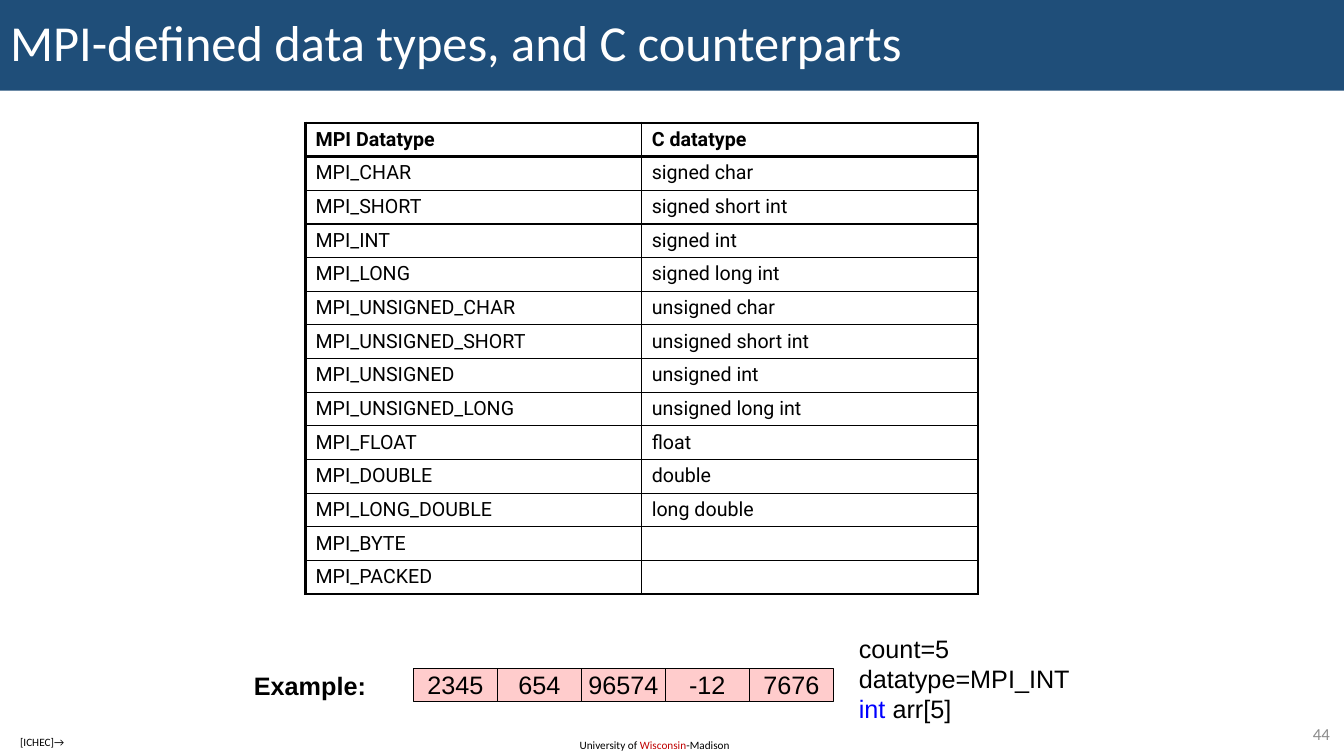
import lxml.etree
import pptx
import pptx.dml.color
import pptx.enum.shapes
import pptx.enum.text
import pptx.oxml.ns
import pptx.util

Inches = pptx.util.Inches
Pt = pptx.util.Pt
qn = pptx.oxml.ns.qn
ALIGN = pptx.enum.text.PP_ALIGN
ANCHOR = pptx.enum.text.MSO_ANCHOR

COLORS = {
    "band": "1F4E79",
    "white": "FFFFFF",
    "black": "000000",
    "gray": "8C8C8C",
    "red": "C00000",
    "keyword": "0000FF",
    "element": "FFCCCC",
}

DATATYPES = [
    ("MPI Datatype", "C datatype"),
    ("MPI_CHAR", "signed char"),
    ("MPI_SHORT", "signed short int"),
    ("MPI_INT", "signed int"),
    ("MPI_LONG", "signed long int"),
    ("MPI_UNSIGNED_CHAR", "unsigned char"),
    ("MPI_UNSIGNED_SHORT", "unsigned short int"),
    ("MPI_UNSIGNED", "unsigned int"),
    ("MPI_UNSIGNED_LONG", "unsigned long int"),
    ("MPI_FLOAT", "float"),
    ("MPI_DOUBLE", "double"),
    ("MPI_LONG_DOUBLE", "long double"),
    ("MPI_BYTE", ""),
    ("MPI_PACKED", ""),
]


def rgb(name):
    return pptx.dml.color.RGBColor.from_string(COLORS[name])


class SlideBuilder:
    thin = 1
    thick = 2.25

    def __init__(self, prs):
        self.s = prs.slides.add_slide(prs.slide_layouts[5])

    def run(self, p, text, size, font, color="black", bold=False):
        r = p.add_run()
        r.text = text
        r.font.size = Pt(size)
        r.font.name = font
        r.font.bold = bold
        r.font.color.rgb = rgb(color)

    def title(self, text, width, height):
        sp = self.s.shapes.title
        sp.left, sp.top = Inches(0), Inches(0)
        sp.width, sp.height = Inches(width), Inches(height)
        sp.fill.solid()
        sp.fill.fore_color.rgb = rgb("band")
        tf = sp.text_frame
        tf.auto_size = pptx.enum.text.MSO_AUTO_SIZE.NONE
        tf.vertical_anchor = ANCHOR.MIDDLE
        p = tf.paragraphs[0]
        p.alignment = ALIGN.LEFT
        p.line_spacing = 0.9
        self.run(p, text, 36, "Calibri", "white")

    def text(self, box, lines, size, font, bold=False, align=ALIGN.LEFT,
             anchor=ANCHOR.TOP, wrap=True):
        tf = self.s.shapes.add_textbox(*map(Inches, box)).text_frame
        tf.word_wrap = wrap
        tf.vertical_anchor = anchor
        for i, line in enumerate(lines):
            p = tf.add_paragraph() if i else tf.paragraphs[0]
            p.alignment = align
            for text, color in line:
                self.run(p, text, size, font, color, bold)

    def border(self, cell, side, width):
        ln = lxml.etree.SubElement(cell._tc.get_or_add_tcPr(), qn("a:ln" + side),
                                   w=str(Pt(width)))
        fill = lxml.etree.SubElement(ln, qn("a:solidFill"))
        lxml.etree.SubElement(fill, qn("a:srgbClr"), val=COLORS["black"])

    def table(self, box, rows):
        n_rows, n_cols = len(rows), len(rows[0])
        tbl = self.s.shapes.add_table(n_rows, n_cols, *map(Inches, box)).table
        tbl.first_row = tbl.horz_banding = False
        for i, row in enumerate(rows):
            tbl.rows[i].height = Inches(box[3] / n_rows)
            for j, text in enumerate(row):
                cell = tbl.cell(i, j)
                heavy = {
                    "L": j == 0,
                    "R": j == n_cols - 1,
                    "T": i in (0, 1),
                    "B": i in (0, n_rows - 1),
                }
                for side, is_heavy in heavy.items():
                    self.border(cell, side, self.thick if is_heavy else self.thin)
                cell.fill.background()
                p = cell.text_frame.paragraphs[0]
                if text:
                    self.run(p, text, 14, "Roboto", bold=i == 0)
                else:
                    lxml.etree.SubElement(p._p, qn("a:endParaRPr"), sz="1400")

    def array(self, left, top, width, height, values):
        group = self.s.shapes.add_group_shape()
        for i, value in enumerate(values):
            sp = group.shapes.add_shape(
                pptx.enum.shapes.MSO_SHAPE.RECTANGLE,
                Inches(left + i * width), Inches(top), Inches(width), Inches(height))
            sp.shadow.inherit = False
            sp.fill.solid()
            sp.fill.fore_color.rgb = rgb("element")
            sp.line.color.rgb = rgb("black")
            sp.line.width = Pt(self.thin)
            tf = sp.text_frame
            tf.word_wrap = False
            tf.vertical_anchor = ANCHOR.MIDDLE
            p = tf.paragraphs[0]
            p.alignment = ALIGN.CENTER
            self.run(p, value, 18, "Arial")


def main():
    prs = pptx.Presentation()
    prs.slide_width, prs.slide_height = Inches(13.33), Inches(7.5)
    b = SlideBuilder(prs)
    b.text((5.65, 7.28, 1.72, 0.24),
           [[("University of ", "black"), ("Wisconsin", "red"), ("-Madison", "black")]],
           8, "Calibri")
    b.title("MPI-defined data types, and C counterparts", 13.33, 0.9)
    b.text((12.53, 7.13, 0.76, 0.29), [[("44", "gray")]], 12, "Calibri",
           align=ALIGN.RIGHT, anchor=ANCHOR.MIDDLE)
    b.table((3.03, 1.22, 6.67, 4.66), DATATYPES)
    b.array(4.1, 6.63, 0.833, 0.33, ["2345", "654", "96574", "-12", "7676"])
    b.text((8.42, 6.23, 2.42, 1.01),
           [[("count=5", "black")],
            [("datatype=MPI_INT", "black")],
            [("int ", "keyword"), ("arr[5]", "black")]],
           18, "Arial")
    b.text((2.42, 6.6, 1.32, 0.4), [[("Example:", "black")]], 18, "Arial",
           bold=True, wrap=False)
    b.text((0.1, 7.25, 0.72, 0.24), [[("[ICHEC]→", "black")]], 8, "Calibri")
    prs.save("out.pptx")


if __name__ == "__main__":
    main()
